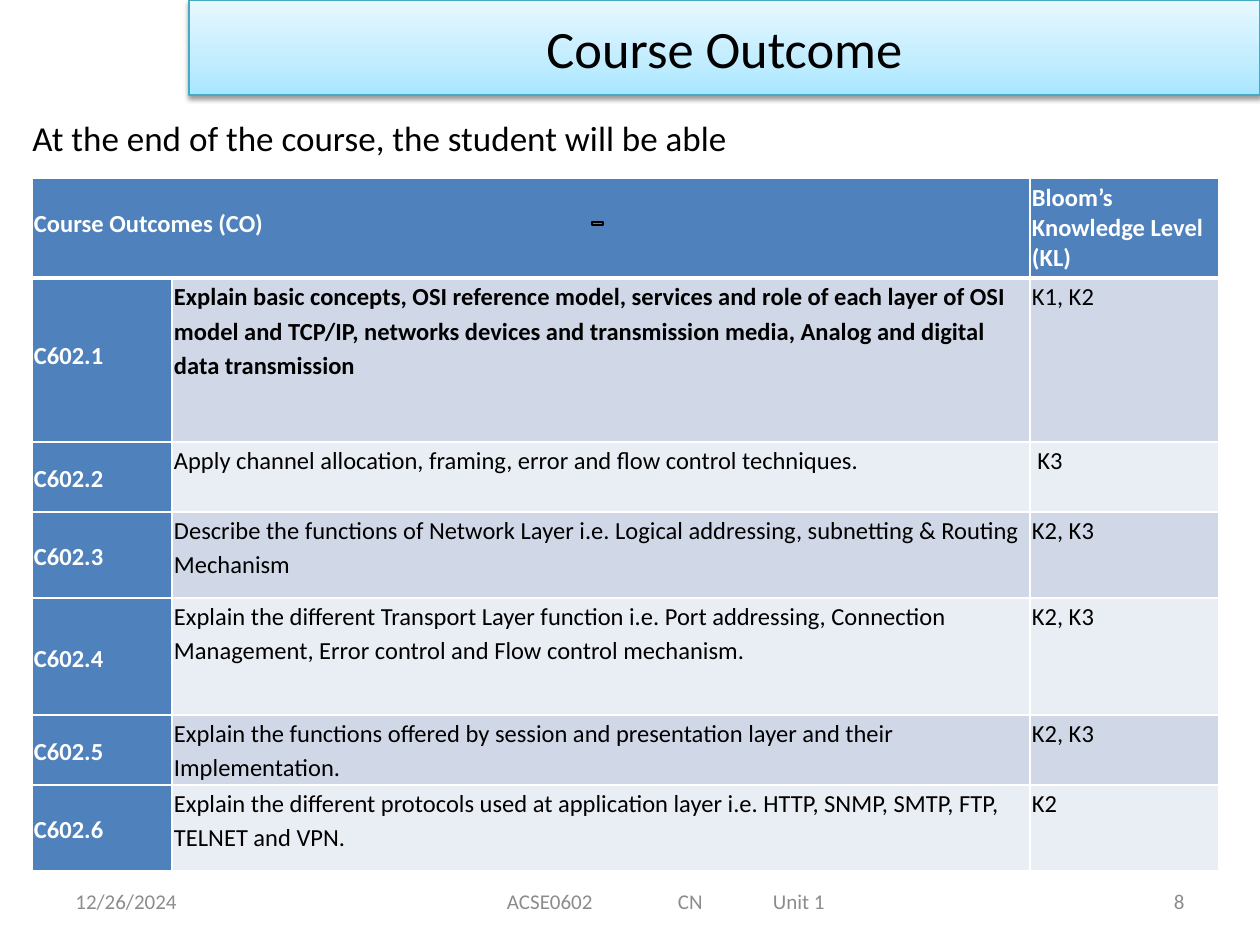
from dataclasses import dataclass

import pptx
import pptx.dml.color
import pptx.enum.shapes
import pptx.enum.text
import pptx.oxml
import pptx.oxml.ns
import pptx.util

RGBColor = pptx.dml.color.RGBColor
Align = pptx.enum.text.PP_ALIGN
Anchor = pptx.enum.text.MSO_ANCHOR
RECTANGLE = pptx.enum.shapes.MSO_SHAPE.RECTANGLE
A_NS = pptx.oxml.ns.nsdecls("a")

EMU_PER_PX = 914400 / 126
FONT = "Calibri"
BLACK = RGBColor(0x00, 0x00, 0x00)
WHITE = RGBColor(0xFF, 0xFF, 0xFF)
FOOTER_GREY = RGBColor(0x8C, 0x8C, 0x8C)
HEADER_BLUE = RGBColor(0x4F, 0x81, 0xBD)
BANDS = (RGBColor(0xD0, 0xD8, 0xE8), RGBColor(0xE9, 0xED, 0xF4))
TITLE_EDGE = RGBColor(0x46, 0xAA, 0xC5)
TITLE_STOPS = (
    (0, RGBColor(0xA7, 0xE6, 0xFF)),
    (35, RGBColor(0xC1, 0xED, 0xFF)),
    (100, RGBColor(0xE7, 0xF8, 0xFF)),
)


@dataclass
class Outcome:
    code: str
    text: str
    level: str
    height: int
    bold: bool = False
    space_after: int = 10


OUTCOMES = [
    Outcome("C602.1", "Explain basic concepts, OSI reference model, services and role of each "
            "layer of OSI model and TCP/IP, networks devices and transmission media, Analog "
            "and digital data transmission", "K1, K2", 164, bold=True),
    Outcome("C602.2", "Apply channel allocation, framing, error and flow control techniques.",
            " K3", 70),
    Outcome("C602.3", "Describe the functions of Network Layer i.e. Logical addressing, "
            "subnetting & Routing Mechanism", "K2, K3", 86),
    Outcome("C602.4", "Explain the different Transport Layer function i.e. Port addressing, "
            "Connection Management, Error control and Flow control mechanism.",
            "K2, K3", 117),
    Outcome("C602.5", "Explain the functions offered by session and presentation layer and "
            "their Implementation.", "K2, K3", 70, space_after=6),
    Outcome("C602.6", "Explain the different protocols used at application layer i.e. HTTP, "
            "SNMP, SMTP, FTP, TELNET and VPN.", "K2", 86, space_after=6),
]
COLUMN_WIDTHS = (140, 858, 189)
HEADER_HEIGHT = 100


def px(length: float) -> int:
    return round(length * EMU_PER_PX)


def box(left: int, top: int, width: int, height: int) -> tuple:
    return px(left), px(top), px(width), px(height)


def write(frame, text: str, *, size=14, color=BLACK, bold=False, align=Align.LEFT,
          line_spacing=None, space_after=None, tabs=()) -> None:
    paragraph = frame.paragraphs[0]
    run = paragraph.add_run()
    run.text = text
    paragraph.alignment = align
    if line_spacing:
        paragraph.line_spacing = line_spacing
    if space_after:
        paragraph.space_after = pptx.util.Pt(space_after)
    if tabs:
        stops = "".join(f'<a:tab pos="{px(tab)}" algn="l"/>' for tab in tabs)
        paragraph._p.get_or_add_pPr().append(
            pptx.oxml.parse_xml(f"<a:tabLst {A_NS}>{stops}</a:tabLst>"))
    font = run.font
    font.name, font.size, font.bold = FONT, pptx.util.Pt(size), bold
    font.color.rgb = color


def add_text(slide, bounds: tuple, text: str, *, anchor=Anchor.MIDDLE, wrap=True,
             inset=None, **text_format):
    frame = slide.shapes.add_textbox(*bounds).text_frame
    frame.word_wrap = wrap
    frame.vertical_anchor = anchor
    if inset is not None:
        frame.margin_left = px(inset)
    write(frame, text, **text_format)


def add_title(slide, text: str) -> None:
    banner = slide.shapes.add_shape(RECTANGLE, *box(189, 0, 1071, 95))
    banner.line.color.rgb = TITLE_EDGE
    banner.line.width = pptx.util.Pt(0.75)
    banner.fill.background()
    properties = banner._element.spPr
    stops = "".join(f'<a:gs pos="{position * 1000}"><a:srgbClr val="{color}"/></a:gs>'
                    for position, color in TITLE_STOPS)
    gradient = pptx.oxml.parse_xml(
        f'<a:gradFill {A_NS} rotWithShape="1"><a:gsLst>{stops}</a:gsLst>'
        '<a:lin ang="16200000" scaled="0"/></a:gradFill>')
    properties.replace(properties.find(pptx.oxml.ns.qn("a:noFill")), gradient)
    properties.append(pptx.oxml.parse_xml(
        f'<a:effectLst {A_NS}><a:outerShdw blurRad="39400" dist="20300" dir="5400000" '
        f'rotWithShape="0"><a:srgbClr val="{BLACK}"><a:alpha val="38000"/></a:srgbClr>'
        '</a:outerShdw></a:effectLst>'))
    banner.text_frame.vertical_anchor = Anchor.MIDDLE
    write(banner.text_frame, text, size=30, align=Align.CENTER)


def fill_cell(cell, text: str, fill: RGBColor, *, anchor=Anchor.TOP, bottom_border=1,
              **text_format) -> None:
    cell.fill.solid()
    cell.fill.fore_color.rgb = fill
    cell.vertical_anchor = anchor
    cell.margin_left = cell.margin_right = px(2)
    cell.margin_top = cell.margin_bottom = 0
    properties = cell._tc.get_or_add_tcPr()
    borders = {"lnL": 1, "lnR": 1, "lnT": 1, "lnB": bottom_border}
    for index, (side, points) in enumerate(borders.items()):
        properties.insert(index, pptx.oxml.parse_xml(
            f'<a:{side} {A_NS} w="{points * 12700}"><a:solidFill>'
            f'<a:srgbClr val="{WHITE}"/></a:solidFill></a:{side}>'))
    write(cell.text_frame, text, **text_format)


def add_outcome_table(slide) -> None:
    heights = [HEADER_HEIGHT] + [outcome.height for outcome in OUTCOMES]
    table = slide.shapes.add_table(
        len(heights), len(COLUMN_WIDTHS),
        *box(32, 178, sum(COLUMN_WIDTHS), sum(heights))).table
    for column, width in zip(table.columns, COLUMN_WIDTHS):
        column.width = px(width)
    for row, height in zip(table.rows, heights):
        row.height = px(height)

    # Header row
    heading = dict(color=WHITE, bold=True, anchor=Anchor.MIDDLE)
    exact = pptx.util.Pt(12.7)
    table.cell(0, 0).merge(table.cell(0, 1))
    fill_cell(table.cell(0, 0), "Course Outcomes (CO)", HEADER_BLUE, bottom_border=3,
              line_spacing=exact, space_after=10, **heading)
    fill_cell(table.cell(0, 2), "Bloom’s Knowledge Level (KL)", HEADER_BLUE,
              bottom_border=3, **heading)

    # One banded row per outcome
    for index, outcome in enumerate(OUTCOMES):
        code, text, level = table.rows[index + 1].cells
        band = BANDS[index % 2]
        fill_cell(code, outcome.code, HEADER_BLUE, space_after=10,
                  line_spacing=1.15 if index else exact, **heading)
        fill_cell(text, outcome.text, band, bold=outcome.bold, line_spacing=1.15,
                  space_after=outcome.space_after)
        fill_cell(level, outcome.level, band, line_spacing=1.15, space_after=10)


def add_dash(slide) -> None:
    dash = slide.shapes.add_shape(RECTANGLE, *box(592, 222, 11, 3))
    dash.shadow.inherit = False
    dash.fill.background()
    dash.line.color.rgb = BLACK
    dash.line.width = pptx.util.Pt(1.42)


def add_footer(slide) -> None:
    small = dict(size=12, color=FOOTER_GREY)
    add_text(slide, box(63, 876, 294, 50), "12/26/2024", **small)
    add_text(slide, box(903, 876, 294, 50), "8", align=Align.RIGHT, **small)
    add_text(slide, box(273, 876, 788, 50), "ACSE0602\tCN\tUnit 1",
             inset=234, tabs=(171, 266), **small)


def main() -> None:
    deck = pptx.Presentation()
    deck.slide_width, deck.slide_height = px(1260), px(945)
    slide = deck.slides.add_slide(deck.slide_layouts[6])
    add_title(slide, "Course Outcome")
    add_text(slide, box(20, 110, 727, 55), "At the end of the course, the student will be able",
             anchor=Anchor.TOP, wrap=False, size=20)
    add_outcome_table(slide)
    add_dash(slide)
    add_footer(slide)
    deck.save("out.pptx")


if __name__ == "__main__":
    main()
